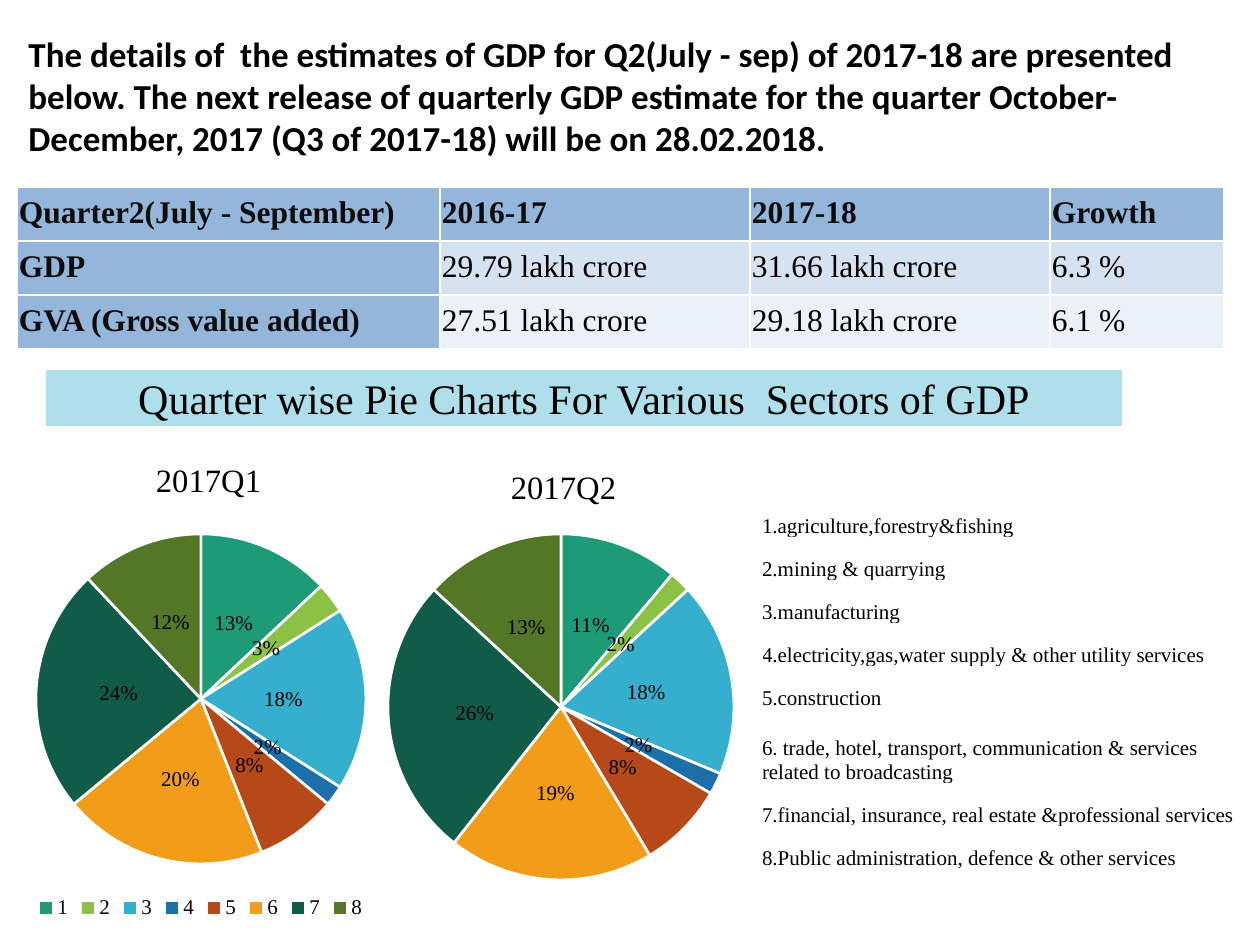
from pptx import Presentation
from pptx import util as u
from pptx.chart import data as chart_data
from pptx.dml import color
from pptx.enum import chart as chart_enum
from pptx.enum import shapes, text
from pptx.oxml import parse_xml
from pptx.oxml import ns

SCALE = 914400 / 126


class Theme:
    serif = "Times New Roman"
    sans = "Calibri"
    black = "000000"
    ink = "0C0C0C"
    white = "FFFFFF"
    header = "94B6DB"
    bands = ["D5E2F1", "EAF1F8"]
    banner = "AFDFEB"
    slices = ["1D9A78", "8BC145", "36AFCE", "1D6FA9",
              "B74919", "F19D19", "115C48", "547627"]
    intro_size = 20
    table_size = 18
    banner_size = 24
    chart_title_size = 18.6
    small_size = 12


INTRO = ("The details of  the estimates of GDP for Q2(July - sep) of 2017-18 are presented "
         "below. The next release of quarterly GDP estimate for the quarter "
         "October-December, 2017 (Q3 of 2017-18) will be on 28.02.2018.")
ESTIMATES = [
    ["Quarter2(July - September)", "2016-17", "2017-18", "Growth"],
    ["GDP", "29.79 lakh crore", "31.66 lakh crore", "6.3 %"],
    ["GVA (Gross value added)", "27.51 lakh crore", "29.18 lakh crore", "6.1 %"],
]
SECTORS = [
    "1.agriculture,forestry&fishing",
    "2.mining & quarrying",
    "3.manufacturing",
    "4.electricity,gas,water supply & other utility services",
    "5.construction",
    "6. trade, hotel, transport, communication & services related to broadcasting",
    "7.financial, insurance, real estate &professional services",
    "8.Public administration, defence & other services",
]
Q1_SHARES = [13, 3, 18, 2, 8, 20, 24, 12]
Q2_SHARES = [11, 2, 18, 2, 8, 19, 26, 13]


def px(value):
    return u.Emu(round(value * SCALE))


def place(*lengths):
    return [px(length) for length in lengths]


def rgb(value):
    return color.RGBColor.from_string(value)


def style_font(font, size, fill=Theme.black, name=Theme.serif, bold=False):
    font.name = name
    font.size = u.Pt(size)
    font.bold = bold
    font.color.rgb = rgb(fill)


def set_text(frame, content, size, **style):
    frame.text = content
    for para in frame.paragraphs:
        for span in para.runs:
            style_font(span.font, size, **style)


def add_intro(page):
    box = page.shapes.add_textbox(*place(16, 26, 1244, 140))
    box.text_frame.word_wrap = True
    set_text(box.text_frame, INTRO, Theme.intro_size, name=Theme.sans, bold=True)


def add_banner(page):
    box = page.shapes.add_shape(shapes.MSO_SHAPE.RECTANGLE, *place(46, 370, 1076, 56))
    box.shadow.inherit = False
    box.fill.solid()
    box.fill.fore_color.rgb = rgb(Theme.banner)
    box.line.fill.background()
    frame = box.text_frame
    frame.margin_left = frame.margin_right = frame.margin_top = frame.margin_bottom = px(5)
    set_text(frame, "Quarter wise Pie Charts For Various  Sectors of GDP", Theme.banner_size)
    frame.paragraphs[0].alignment = text.PP_ALIGN.CENTER


def add_borders(cell):
    properties = cell._tc.get_or_add_tcPr()
    for position, side in enumerate(("lnL", "lnR", "lnT", "lnB")):
        properties.insert(position, parse_xml(
            f'<a:{side} {ns.nsdecls("a")} w="12700"><a:solidFill>'
            f'<a:srgbClr val="{Theme.white}"/></a:solidFill></a:{side}>'))


def add_grid(page, left, top, widths, heights):
    box = page.shapes.add_table(len(heights), len(widths),
                                *place(left, top, sum(widths), sum(heights)))
    table = box.table
    table.first_row = table.horz_banding = False
    for column, width in zip(table.columns, widths):
        column.width = px(width)
    for row, height in zip(table.rows, heights):
        row.height = px(height)
    return table


def fill_cell(cell, content, margin, size, **style):
    cell.margin_left = cell.margin_right = cell.margin_top = cell.margin_bottom = px(margin)
    set_text(cell.text_frame, content, size, **style)
    add_borders(cell)


def add_estimates(page):
    table = add_grid(page, 17, 187, [423, 310, 300, 174], [54, 54, 54])
    for row, values in enumerate(ESTIMATES):
        for column, value in enumerate(values):
            heading = row == 0 or column == 0
            cell = table.cell(row, column)
            fill_cell(cell, value, 2, Theme.table_size, bold=heading,
                      fill=Theme.ink if heading else Theme.black)
            cell.fill.solid()
            cell.fill.fore_color.rgb = rgb(Theme.header if heading else Theme.bands[row - 1])
            para = cell.text_frame.paragraphs[0]
            para.line_spacing = 1.19
            para.space_after = u.Pt(6)


def add_sectors(page):
    heights = [74 if sector.startswith("6") else 43 for sector in SECTORS]
    table = add_grid(page, 762, 495, [498], heights)
    for row, sector in enumerate(SECTORS):
        cell = table.cell(row, 0)
        fill_cell(cell, sector, 0, Theme.small_size)
        cell.vertical_anchor = text.MSO_ANCHOR.BOTTOM
        cell.fill.background()


def set_layout(element, position, frame, area, inner=False):
    for old in element.findall(ns.qn("c:layout")):
        element.remove(old)
    left, top, width, height = frame
    values = {"x": (area[0] - left) / width, "y": (area[1] - top) / height}
    if inner:
        values.update(w=area[2] / width, h=area[3] / height)
    target = '<c:layoutTarget val="inner"/>' if inner else ""
    modes = '<c:xMode val="edge"/><c:yMode val="edge"/>'
    sizes = "".join(f'<c:{key} val="{value:.4f}"/>' for key, value in values.items())
    element.insert(position, parse_xml(
        f'<c:layout {ns.nsdecls("c")}><c:manualLayout>{target}{modes}{sizes}'
        '</c:manualLayout></c:layout>'))


def add_pie(page, title, shares, frame, pie_area, title_at, legend=False):
    data = chart_data.CategoryChartData()
    data.categories = [str(number + 1) for number in range(len(shares))]
    data.add_series(title, shares)
    chart = page.shapes.add_chart(chart_enum.XL_CHART_TYPE.PIE, *place(*frame), data).chart
    style_font(chart.font, Theme.small_size)
    chart.has_title = True
    set_text(chart.chart_title.text_frame, title, Theme.chart_title_size)
    set_layout(chart.chart_title._element, 1, frame, title_at)
    set_layout(chart._chartSpace.xpath("c:chart/c:plotArea")[0], 0, frame, pie_area, inner=True)

    chart.has_legend = legend
    if legend:
        chart.legend.position = chart_enum.XL_LEGEND_POSITION.BOTTOM
        chart.legend.include_in_layout = False
        style_font(chart.legend.font, Theme.small_size)

    plot = chart.plots[0]
    plot.vary_by_categories = True
    for number, fill in enumerate(Theme.slices):
        wedge = plot.series[0].points[number].format
        wedge.fill.solid()
        wedge.fill.fore_color.rgb = rgb(fill)
        wedge.line.color.rgb = rgb(Theme.white)
        wedge.line.width = u.Pt(1.5)
    plot.has_data_labels = True
    labels = plot.data_labels
    labels.show_percentage = True
    labels.show_value = False
    labels.number_format = "0%"
    labels.number_format_is_linked = False
    labels.position = chart_enum.XL_LABEL_POSITION.CENTER
    style_font(labels.font, Theme.small_size)


def main():
    deck = Presentation()
    deck.slide_width, deck.slide_height = place(1260, 945)
    page = deck.slides.add_slide(deck.slide_layouts[6])
    add_intro(page)
    add_estimates(page)
    add_banner(page)
    add_pie(page, "2017Q1", Q1_SHARES, (-60, 445, 522, 479),
            (36, 534, 330, 330), (150, 454), legend=True)
    add_pie(page, "2017Q2", Q2_SHARES, (341, 445, 440, 452),
            (388, 534, 346, 346), (505, 461))
    add_sectors(page)
    deck.save("out.pptx")


if __name__ == "__main__":
    main()
